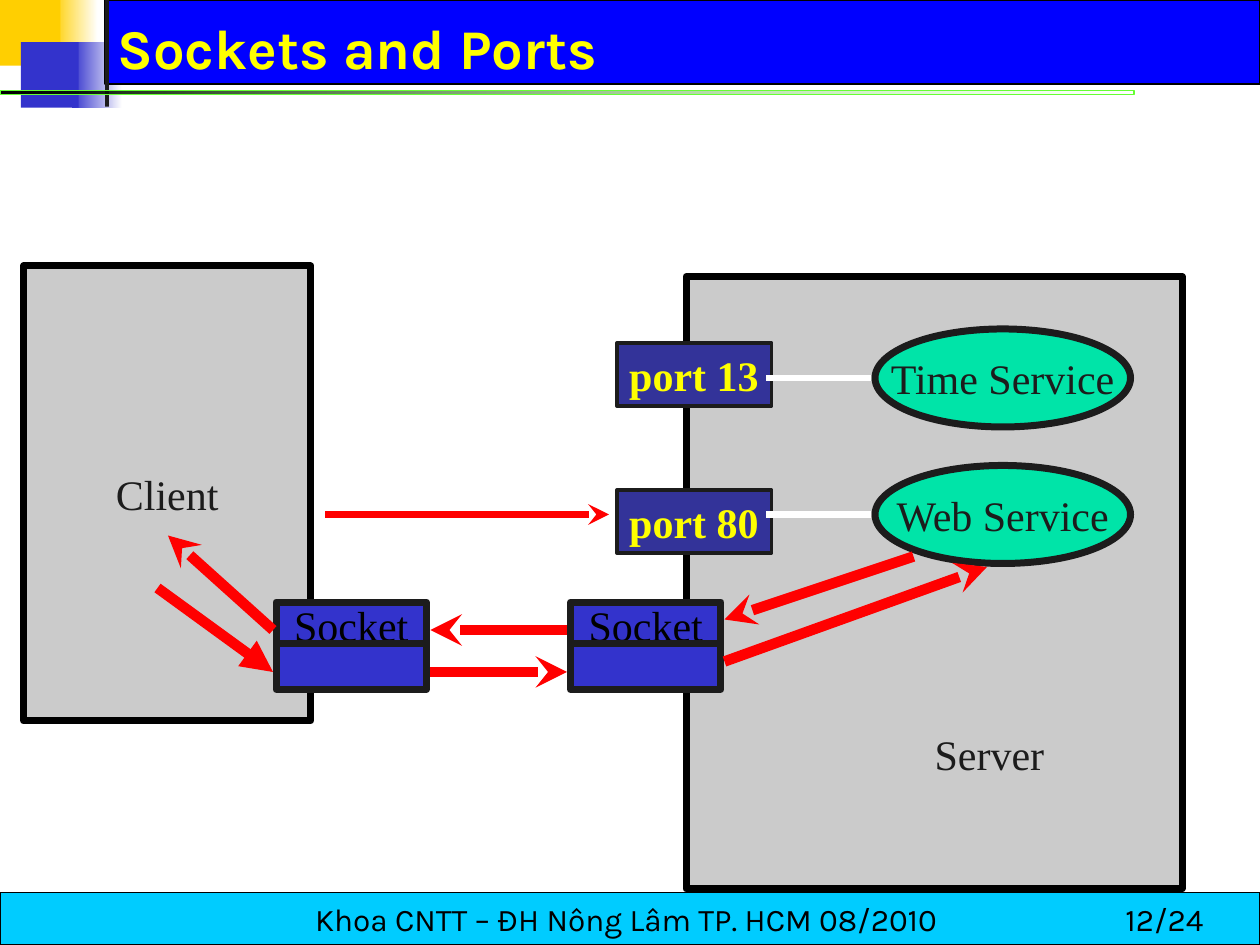
"""Build the "Sockets and Ports" slide."""
import lxml.etree
import pptx
import pptx.dml.color
import pptx.enum.shapes
import pptx.enum.text
import pptx.oxml
import pptx.oxml.ns
import pptx.util

Pt = pptx.util.Pt
RGBColor = pptx.dml.color.RGBColor
qn = pptx.oxml.ns.qn
MSO_SHAPE = pptx.enum.shapes.MSO_SHAPE
PP_ALIGN = pptx.enum.text.PP_ALIGN
MSO_ANCHOR = pptx.enum.text.MSO_ANCHOR

COLORS = {
    "white": "FFFFFF", "black": "000000", "ink": "1C1C1C", "gold": "FFCF01",
    "indigo": "3333CC", "blue": "0000FF", "lime": "66FF33", "cyan": "00CCFF",
    "grey": "CBCBCB", "navy": "333399", "yellow": "FFFF00", "mint": "00E4A8",
    "red": "FF0000",
}
SERIF = "Times New Roman"
SANS = "Karla"

presentation = pptx.Presentation()
presentation.slide_width = Pt(720)
presentation.slide_height = Pt(540)
slide = presentation.slides.add_slide(presentation.slide_layouts[6])


def add_box(kind, left, top, width, height, fill, line=None, line_width=0.75):
    """Add a preset shape; a pair of colours as fill fades from right to left."""
    shape = slide.shapes.add_shape(kind, Pt(left), Pt(top), Pt(width), Pt(height))
    shape.shadow.inherit = False
    if isinstance(fill, tuple):
        shape.fill.gradient()
        shape.fill.gradient_angle = 180
        for stop, position, color in zip(shape.fill.gradient_stops, (0, 1), fill):
            stop.position = position
            stop.color.rgb = RGBColor.from_string(COLORS[color])
    else:
        shape.fill.solid()
        shape.fill.fore_color.rgb = RGBColor.from_string(COLORS[fill])
    if line:
        shape.line.color.rgb = RGBColor.from_string(COLORS[line])
        shape.line.width = Pt(line_width)
    else:
        shape.line.fill.background()
    return shape


def write(shape, text, size, font, color, align=PP_ALIGN.CENTER,
          anchor=MSO_ANCHOR.MIDDLE, bold=False, wrap=False):
    """Put one formatted paragraph into a shape."""
    frame = shape.text_frame
    frame.word_wrap = wrap
    frame.vertical_anchor = anchor
    paragraph = frame.paragraphs[0]
    paragraph.text = text
    paragraph.alignment = align
    paragraph.font.size = Pt(size)
    paragraph.font.name = font
    paragraph.font.bold = bold
    paragraph.font.color.rgb = RGBColor.from_string(COLORS[color])


RECTANGLE = MSO_SHAPE.RECTANGLE
add_box(RECTANGLE, 30, 0, 26, 37.5, ("white", "gold"))
add_box(RECTANGLE, 41, 24, 29, 37.5, ("white", "indigo"))
add_box(RECTANGLE, 60, 0, 660, 48, "blue", "black")
add_box(RECTANGLE, 0, 0, 34.5, 37.5, "gold")
add_box(RECTANGLE, 12, 24, 33, 37.5, "indigo")
add_box(RECTANGLE, 60, 0, 2.3, 61, "ink")
rule = add_box(RECTANGLE, 0, 51.75, 648, 2.25, ("lime", "black"), "lime", 0)
lime_stop = rule.fill._fill._gradFill.find(".//" + qn("a:srgbClr"))
lxml.etree.SubElement(lime_stop, qn("a:alpha")).set("val", "0")

footer = add_box(RECTANGLE, 0, 510, 720, 30, "cyan", "black")
write(footer, "Khoa CNTT – ĐH Nông Lâm TP. HCM 08/2010 ", 18, SANS, "black")
page_number = slide.shapes.add_textbox(Pt(636), Pt(511), Pt(84), Pt(53))
write(page_number, "12/24", 18, SANS, "black", PP_ALIGN.LEFT, MSO_ANCHOR.TOP, wrap=True)
title = slide.shapes.add_textbox(Pt(60), Pt(6), Pt(644), Pt(42))
write(title, "Sockets and Ports", 32, SANS, "yellow", PP_ALIGN.LEFT, bold=True, wrap=True)

client = add_box(RECTANGLE, 13.5, 152, 164.25, 260, "grey", "black", 4)
write(client, "Client", 24, SERIF, "ink")
add_box(RECTANGLE, 392, 158, 283.5, 350, "grey", "black", 4)
server_label = slide.shapes.add_textbox(Pt(527), Pt(412.5), Pt(77), Pt(36))
write(server_label, "Server", 24, SERIF, "ink", PP_ALIGN.LEFT, MSO_ANCHOR.TOP)

for port_top, port_name, service_top, service_name in (
    (196, "port 13", 188, "Time Service"),
    (280, "port 80", 266, "Web Service"),
):
    port = add_box(RECTANGLE, 352.5, port_top, 88.5, 36, "navy", "ink", 2)
    write(port, port_name, 24, SERIF, "yellow", PP_ALIGN.LEFT, MSO_ANCHOR.TOP, bold=True)
    service = add_box(MSO_SHAPE.OVAL, 500, service_top, 146, 56, "mint", "ink", 4)
    write(service, service_name, 24, SERIF, "ink")

for socket_left in (157.75, 326):
    socket = add_box(RECTANGLE, socket_left, 344, 86, 26, "indigo", "ink", 4)
    write(socket, "Socket", 24, SERIF, "black")
    add_box(RECTANGLE, socket_left, 368, 86, 26, "indigo", "ink", 4)

for start_x, start_y, end_x, end_y, color, width, arrowhead in (
    (438, 216, 498, 216, "white", 4, None),
    (438, 294, 498, 294, "white", 4, None),
    (186, 294, 348, 294, "red", 4, "stealth"),
    (156, 360, 96, 306, "red", 6, "stealth"),
    (90, 336, 156, 384, "red", 6, "triangle"),
    (324, 360, 246, 360, "red", 6, "stealth"),
    (246, 384, 324, 384, "red", 6, "stealth"),
    (522, 318, 414, 354, "red", 6, "stealth"),
    (414, 378, 564, 324, "red", 6, "stealth"),
):
    connector = slide.shapes.add_connector(
        pptx.enum.shapes.MSO_CONNECTOR.STRAIGHT,
        Pt(start_x), Pt(start_y), Pt(end_x), Pt(end_y))
    connector.line.color.rgb = RGBColor.from_string(COLORS[color])
    connector.line.width = Pt(width)
    properties = connector._element.spPr
    lxml.etree.SubElement(properties, qn("a:effectLst"))
    if arrowhead:
        outline = properties.find(qn("a:ln"))
        lxml.etree.SubElement(outline, qn("a:tailEnd")).set("type", arrowhead)

presentation.save("out.pptx")
